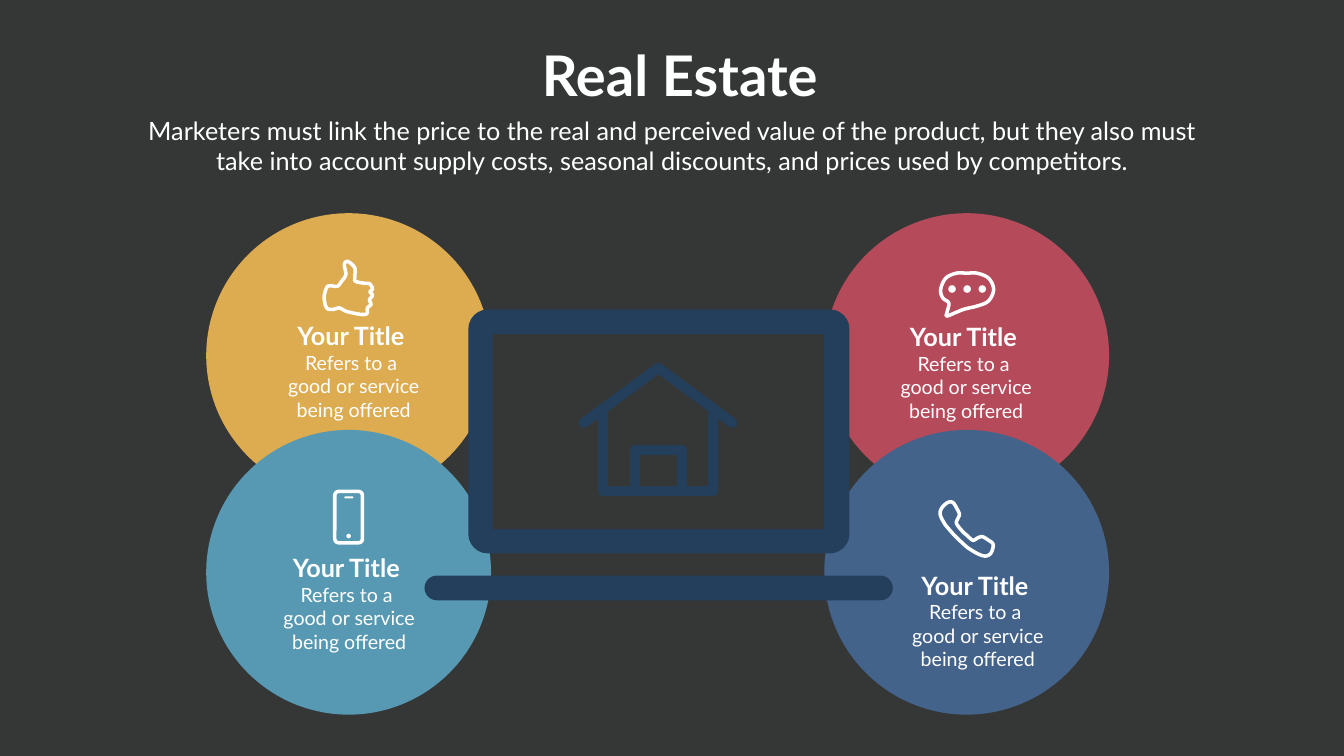
from pptx import Presentation
from pptx import util as u
from pptx.dml.color import RGBColor
from pptx.enum import shapes, text

PX = 9144  # EMU in one px, 100 px to the inch
FONT = "Lato"
BACKGROUND, NAVY, WHITE, SOFT_WHITE = "353737", "233F5B", "FFFFFF", "FEFFFF"

TITLE = ("Real Estate", (1055, 75, 587, 145), {"size": 80, "bold": True})
INTRO = (
    "Marketers must link the price to the real and perceived value of the product, "
    "but they also must take into account supply costs, seasonal discounts, "
    "and prices used by competitors.",
    (268, 224, 2130, 131), {"size": 36, "bold": False})
HEADING = "Your Title"
DETAILS = ["Refers to a ", "good or service", "being offered"]

DIAMETER = 565
CARDS = [  # circle corner, colour, heading corner
    ((1635, 423), "B54A5A", (1795, 633)),
    ((1635, 853), "44638B", (1818, 1126)),
    ((409, 423), "DDAB50", (580, 631)),
    ((409, 853), "5799B2", (571, 1091)),
]

HOUSE_STROKE, ICON_STROKE = 20, 7
HOUSE = [
    [(1158, 839), (1306, 730), (1453, 839)],
    [(1197, 822), (1197, 975), (1415, 975), (1415, 822)],
    [(1260, 975), (1260, 893), (1352, 893), (1352, 975)],
]
THUMB = [
    (718, 624), (728, 622), (729, 611), (736, 604), (733, 595), (739, 586),
    (734, 579), (739, 573), (733, 563), (723, 562), (705, 558), (704, 547),
    (704, 532), (694, 521), (687, 519), (683, 526), (686, 545), (677, 559),
    (669, 568), (653, 567), (647, 573), (643, 591), (648, 611), (660, 614),
    (673, 611), (685, 617), (700, 621),
]
HANDSET = [
    (1951, 1103), (1938, 1098), (1923, 1089), (1915, 1083), (1894, 1063),
    (1879, 1046), (1873, 1038), (1865, 1021), (1868, 1008), (1880, 997),
    (1890, 997), (1897, 1007), (1903, 1020), (1900, 1029), (1897, 1037),
    (1902, 1046), (1912, 1057), (1919, 1063), (1930, 1072), (1940, 1067),
    (1949, 1065), (1961, 1072), (1970, 1080), (1967, 1095), (1960, 1102),
]
BUBBLE = [
    (1897, 542), (1918, 542), (1938, 542), (1961, 552), (1971, 574),
    (1961, 597), (1939, 607), (1914, 613), (1896, 620), (1878, 627),
    (1879, 618), (1882, 601), (1870, 591), (1866, 574), (1876, 552),
]
BUBBLE_DOTS = [(1881 + 30 * i, 566, 15, 15) for i in range(3)]

OVAL = shapes.MSO_SHAPE.OVAL
RECTANGLE = shapes.MSO_SHAPE.RECTANGLE
ROUNDED = shapes.MSO_SHAPE.ROUNDED_RECTANGLE


def rgb(hex_colour):
    return RGBColor.from_string(hex_colour)


def emu(lengths):
    return [u.Emu(round(length * PX)) for length in lengths]


def solid(slide, kind, box, colour, corner=None):
    shape = slide.shapes.add_shape(kind, *emu(box))
    shape.shadow.inherit = False
    shape.fill.solid()
    shape.fill.fore_color.rgb = rgb(colour)
    shape.line.fill.background()
    if corner is not None:
        shape.adjustments[0] = corner
    return shape


def outline(shape, colour, stroke):
    """Leave only a line with round ends and joins."""
    shape.shadow.inherit = False
    shape.fill.background()
    shape.line.color.rgb = rgb(colour)
    shape.line.width = u.Emu(stroke * PX)
    line = shape.line.fill._xPr
    line.set("cap", "rnd")
    line.append(line.makeelement(
        "{http://schemas.openxmlformats.org/drawingml/2006/main}round", {}))


def stroke_through(slide, points, colour, stroke, close=False):
    start, *others = [emu(point) for point in points]
    builder = slide.shapes.build_freeform(*start, scale=1.0)
    builder.add_line_segments(others, close=close)
    outline(builder.convert_to_shape(), colour, stroke)


def smooth_loop(points, steps=5):
    """Closed Catmull-Rom curve through the points."""
    curve = []
    count = len(points)
    for i in range(count):
        neighbours = [points[(i + k) % count] for k in (-1, 0, 1, 2)]
        for t in (step / steps for step in range(steps)):
            curve.append(tuple(
                b + (c - a) * t / 2 + (2 * a - 5 * b + 4 * c - d) * t**2 / 2
                + (3 * b - a - 3 * c + d) * t**3 / 2
                for a, b, c, d in zip(*neighbours)))
    return curve


def write(holder, box, lines, align, style, colour):
    holder.left, holder.top, holder.width, holder.height = emu(box)
    frame = holder.text_frame
    frame.text = "\n".join(lines)
    frame.word_wrap = True
    frame.auto_size = text.MSO_AUTO_SIZE.NONE
    frame.vertical_anchor = text.MSO_ANCHOR.TOP
    for paragraph in frame.paragraphs:
        paragraph.alignment = align
        paragraph.space_before = u.Pt(0)
        font = paragraph.font
        font.color.rgb = rgb(colour)
        for name, value in {"name": FONT, **style, "size": u.Pt(style["size"])}.items():
            setattr(font, name, value)


def draw_laptop(slide):
    solid(slide, ROUNDED, (929, 614, 756, 484), NAVY, 0.08)
    solid(slide, RECTANGLE, (977, 663, 658, 387), BACKGROUND)
    solid(slide, ROUNDED, (842, 1142, 929, 49), NAVY, 0.5)
    for part in HOUSE:
        stroke_through(slide, part, NAVY, HOUSE_STROKE)


def draw_icons(slide):
    for icon in (THUMB, HANDSET, BUBBLE):
        stroke_through(slide, smooth_loop(icon), WHITE, ICON_STROKE, close=True)
    for dot in BUBBLE_DOTS:
        solid(slide, OVAL, dot, WHITE)
    mobile = solid(slide, ROUNDED, (664, 975, 55, 102), WHITE, 0.14)
    outline(mobile, WHITE, ICON_STROKE)
    solid(slide, OVAL, (687, 1059, 9, 9), WHITE)
    solid(slide, ROUNDED, (683, 985, 18, 4), WHITE, 0.5)


def main():
    deck = Presentation()
    deck.slide_width, deck.slide_height = emu((2666, 1500))
    slide = deck.slides.add_slide(deck.slide_layouts[0])
    slide.background.fill.solid()
    slide.background.fill.fore_color.rgb = rgb(BACKGROUND)

    centre, left = text.PP_ALIGN.CENTER, text.PP_ALIGN.LEFT
    for holder, (words, box, style) in zip(slide.placeholders, (TITLE, INTRO)):
        write(holder, box, [words], centre, style, SOFT_WHITE)

    for corner, colour, _ in CARDS:
        solid(slide, OVAL, (*corner, DIAMETER, DIAMETER), colour)
    draw_laptop(slide)
    draw_icons(slide)
    for _, _, (x, y) in CARDS:
        for box, lines, align, style in (
            ((x, y, 242, 51), [HEADING], left, {"size": 36, "bold": True}),
            ((x - 23, y + 60, 289, 146), DETAILS, centre, {"size": 28}),
        ):
            write(slide.shapes.add_textbox(*emu(box)), box, lines, align, style, WHITE)
    deck.save("out.pptx")


if __name__ == "__main__":
    main()
